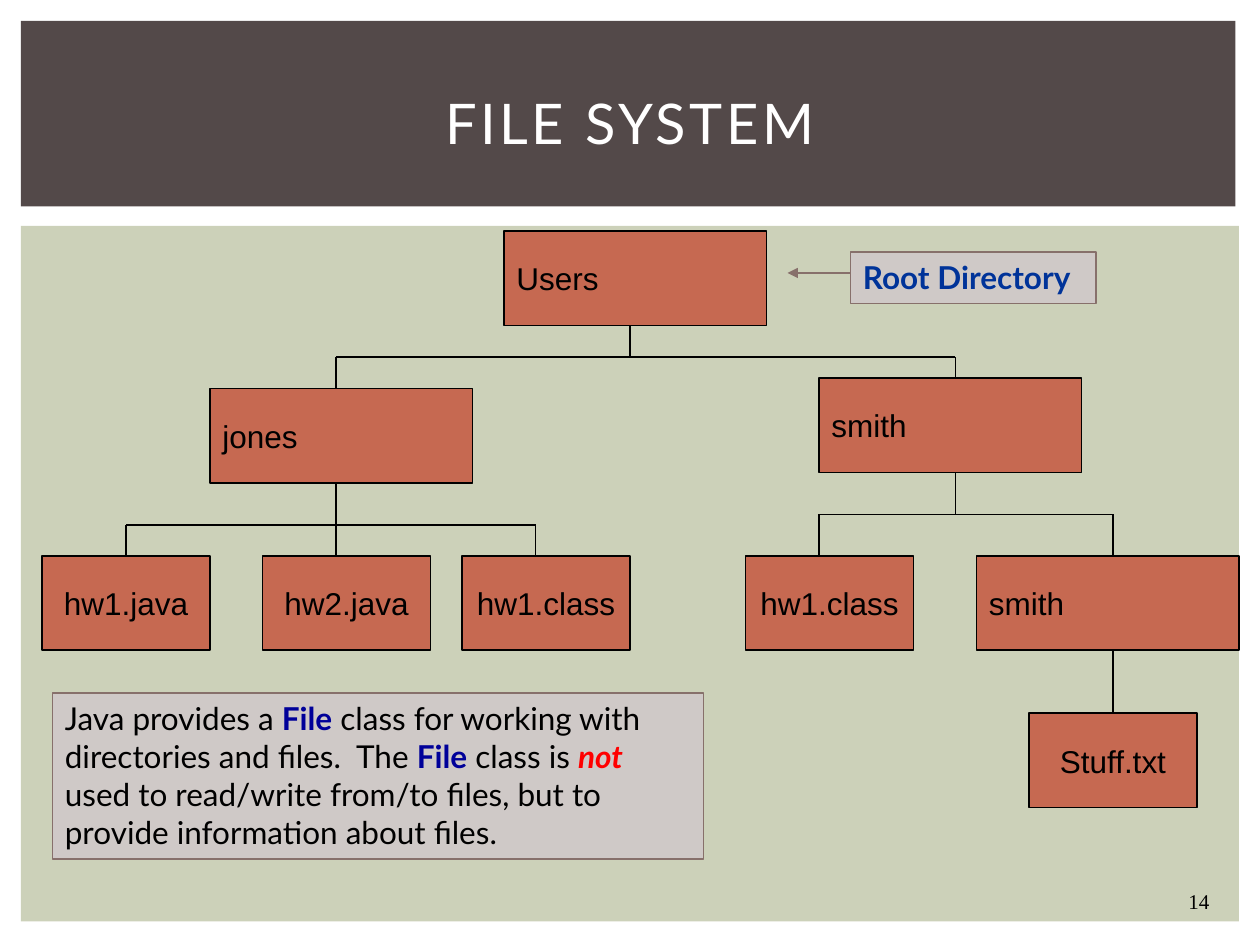
from dataclasses import dataclass

from lxml.etree import SubElement
from pptx import Presentation
from pptx.dml.color import RGBColor
from pptx.enum.shapes import MSO_CONNECTOR, MSO_SHAPE
from pptx.enum.text import MSO_ANCHOR, PP_ALIGN
from pptx.oxml.ns import qn
from pptx.util import Pt


@dataclass(frozen=True)
class Theme:
    panel: str = "CCD1B9"
    header: str = "534949"
    node: str = "C66951"
    note: str = "CFC9C7"
    note_line: str = "87706B"
    ink: str = "000000"
    light: str = "FFFFFF"
    root_label: str = "003399"
    keyword: str = "000099"
    warning: str = "FF0000"
    heading_font: str = "Lato"
    node_font: str = "Arial"
    number_font: str = "Times New Roman"
    title_size: float = 32
    body_size: float = 18
    number_size: float = 12
    node_width: float = 1
    note_width: float = 0.79


def apply(target, values):
    for name, value in values.items():
        setattr(target, name, value)


class SlideBuilder:
    def __init__(self, page, theme):
        self.page = page
        self.theme = theme

    def set_text(self, box, spans, font, size, align=PP_ALIGN.LEFT,
                 anchor=MSO_ANCHOR.MIDDLE, wrap=True):
        """Fill a box with one paragraph of (text, colour, extra font values) spans."""
        frame = box.text_frame
        apply(frame, {"word_wrap": wrap, "vertical_anchor": anchor})
        para = frame.paragraphs[0]
        para.alignment = align
        for text, color, extra in spans:
            span = para.add_run()
            span.text = text
            apply(span.font, {"name": font, "size": Pt(size), **extra})
            span.font.color.rgb = RGBColor.from_string(color)

    def title(self, text, *place):
        box = self.page.shapes.title
        apply(box, dict(zip(("left", "top", "width", "height"), map(Pt, place))))
        self.set_text(box, [(text, self.theme.light, {"bold": False})],
                      self.theme.heading_font, self.theme.title_size, PP_ALIGN.CENTER)
        # Bring the title in front of the header band.
        box.element.getparent().append(box.element)
        for properties in box.element.iter(qn("a:rPr")):
            properties.set("spc", "200")

    def rectangle(self, place, fill, line=None, width=0):
        box = self.page.shapes.add_shape(MSO_SHAPE.RECTANGLE, *map(Pt, place))
        box.shadow.inherit = False
        box.fill.solid()
        box.fill.fore_color.rgb = RGBColor.from_string(fill)
        if line:
            box.line.color.rgb = RGBColor.from_string(line)
            box.line.width = Pt(width)
        else:
            box.line.fill.background()
        return box

    def node(self, text, left, top, width, align):
        theme = self.theme
        box = self.rectangle((left, top, width, 54), theme.node, theme.ink, theme.node_width)
        self.set_text(box, [(text, theme.ink, {})], theme.node_font, theme.body_size, align)

    def folder(self, text, left, top):
        self.node(text, left, top, 150, PP_ALIGN.LEFT)

    def file(self, text, left, top):
        self.node(text, left, top, 96, PP_ALIGN.CENTER)

    def note(self, spans, place, wrap=True):
        theme = self.theme
        box = self.rectangle(place, theme.note, theme.note_line, theme.note_width)
        self.set_text(box, spans, theme.heading_font, theme.body_size,
                      anchor=MSO_ANCHOR.TOP, wrap=wrap)

    def line(self, start, end, color, width, arrow=False):
        connector = self.page.shapes.add_connector(
            MSO_CONNECTOR.STRAIGHT, *map(Pt, (*start, *end)))
        connector.line.color.rgb = RGBColor.from_string(color)
        connector.line.width = Pt(width)
        properties = connector.element.spPr
        if arrow:
            SubElement(properties.find(qn("a:ln")), qn("a:tailEnd"), type="triangle")
        SubElement(properties, qn("a:effectLst"))

    def branch(self, stem, bar, drops):
        """Draw a stem (x, top, bottom), a bar at height y and drops (x, bottom) from it."""
        x, top, bottom = stem
        segments = [((x, top), (x, bottom)), ((drops[0][0], bar), (drops[-1][0], bar))]
        segments += [((drop, bar), (drop, end)) for drop, end in drops]
        for start, end in segments:
            self.line(start, end, self.theme.ink, self.theme.node_width)

    def page_number(self, text, *place):
        box = self.page.shapes.add_textbox(*map(Pt, place))
        self.set_text(box, [(text, self.theme.ink, {})], self.theme.number_font,
                      self.theme.number_size, anchor=MSO_ANCHOR.TOP)


def main():
    deck = Presentation()
    apply(deck, {"slide_width": Pt(720), "slide_height": Pt(540)})
    theme = Theme()
    slide = SlideBuilder(deck.slides.add_slide(deck.slide_layouts[5]), theme)

    slide.rectangle((12, 129, 696, 397.5), theme.panel)
    slide.rectangle((12, 12, 694, 106), theme.header)
    slide.page_number("14", 672, 504, 30, 21.6)
    slide.title("FILE SYSTEM", 30, 28, 660, 83)

    leaf_top = 317.5
    for name, left, top in (("Users", 288, 132), ("jones", 120, 222),
                            ("smith", 468, 216), ("smith", 558, leaf_top)):
        slide.folder(name, left, top)
    for name, left in (("hw1.java", 24), ("hw2.java", 150),
                       ("hw1.class", 264), ("hw1.class", 426)):
        slide.file(name, left, leaf_top)
    slide.file("Stuff.txt", 588, 407.5)

    slide.branch((360, 186, 204), 204, [(192, 222), (546, 216)])
    slide.branch((192, 276, leaf_top), 300, [(72, leaf_top), (306, leaf_top)])
    slide.branch((546, 270, 294), 294, [(468, leaf_top), (636, leaf_top)])
    slide.line((636, 371.5), (636, 407.5), theme.ink, theme.node_width)

    bold = {"bold": True}
    slide.note([("Root Directory", theme.root_label, bold)],
               (486, 144, 140.4, 29.5), wrap=False)
    slide.line((486, 156), (450, 156), theme.note_line, theme.note_width, arrow=True)
    slide.note([
        ("Java provides a ", theme.ink, {}),
        ("File", theme.keyword, bold),
        (" class for working with directories and files.  The ", theme.ink, {}),
        ("File", theme.keyword, bold),
        (" class is ", theme.ink, {}),
        ("not", theme.warning, {"bold": True, "italic": True}),
        (" used to read/write from/to files, but to provide information about files.",
         theme.ink, {}),
    ], (30, 396, 372, 95))

    deck.save("out.pptx")


if __name__ == "__main__":
    main()
